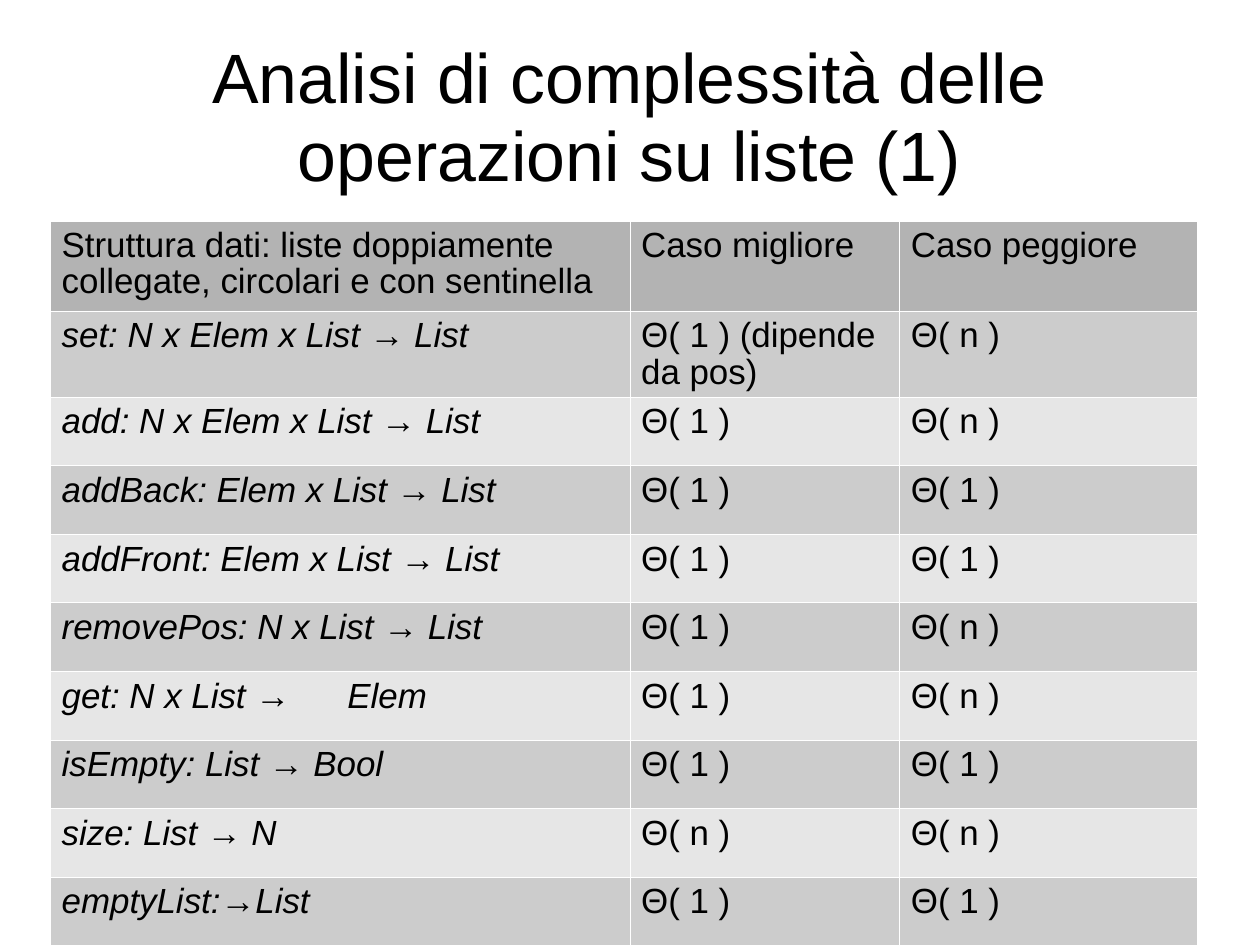
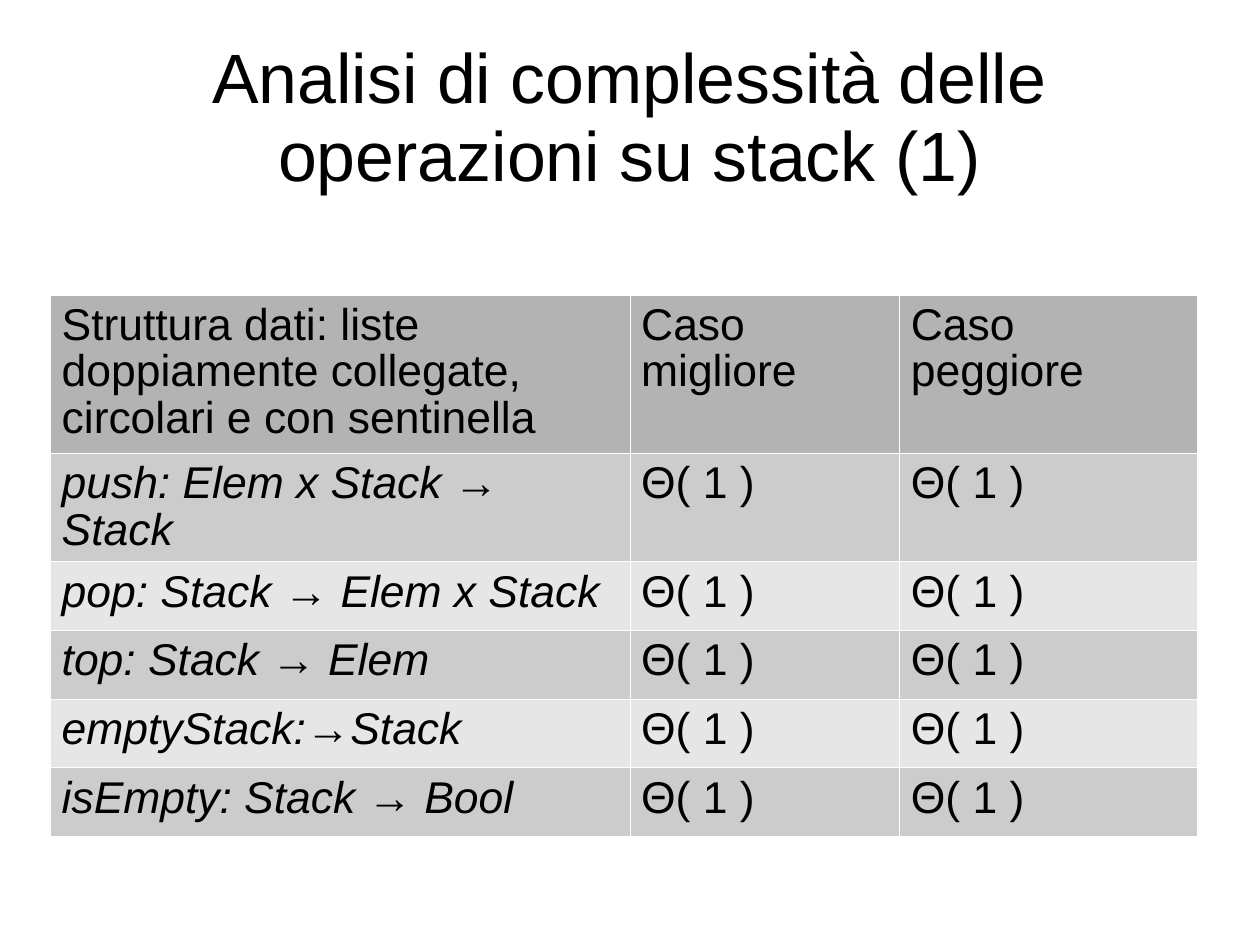
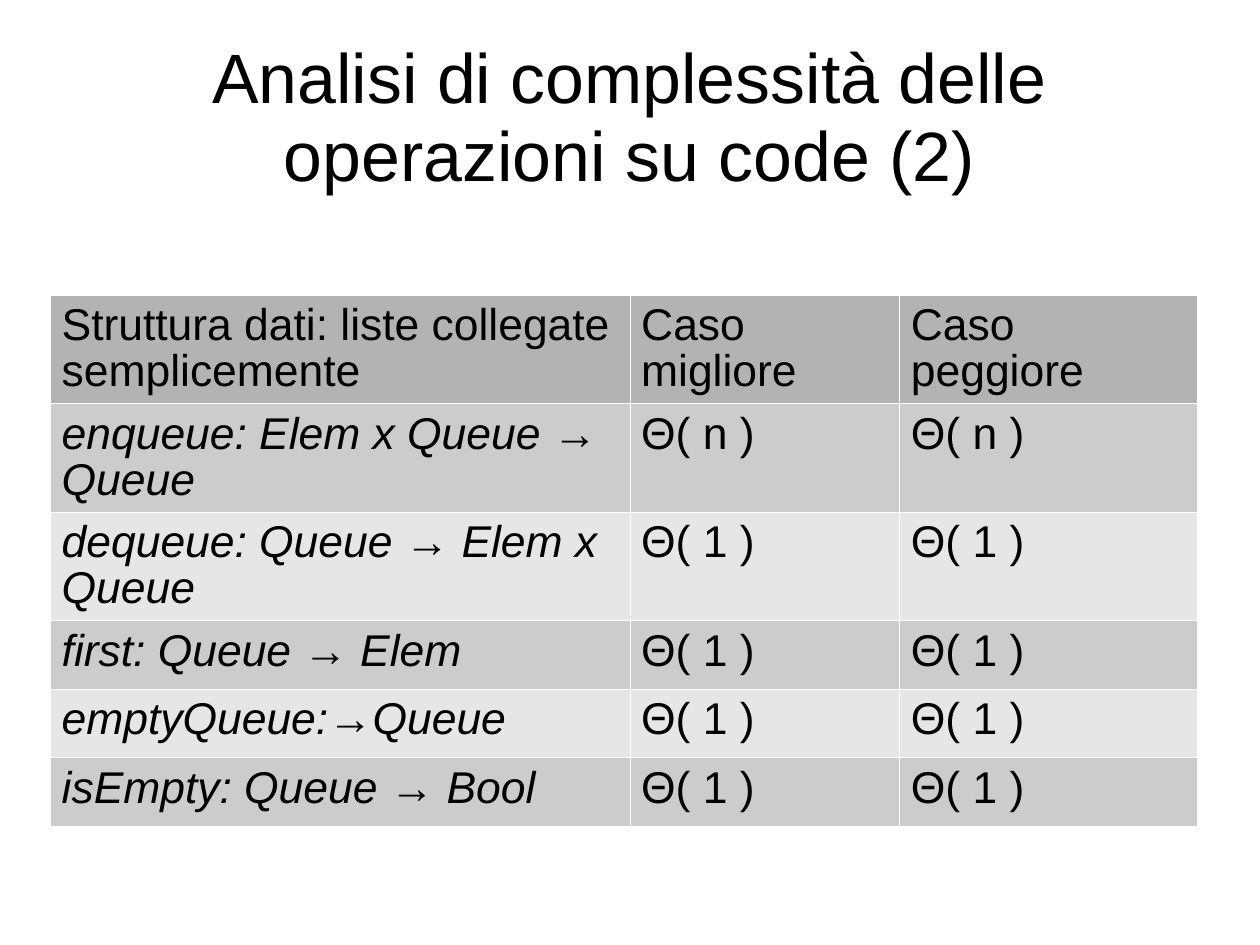
"""Build three slides on the complexity of list, stack and queue operations."""
from lxml import etree
from pptx import Presentation
from pptx.dml.color import RGBColor
from pptx.enum.text import MSO_ANCHOR, PP_ALIGN
from pptx.oxml.ns import qn
from pptx.util import Inches, Pt

MIDDLE = MSO_ANCHOR.MIDDLE
CENTER = PP_ALIGN.CENTER
LEFT = PP_ALIGN.LEFT

COLORS = {
    "text": "000000",
    "border": "FFFFFF",
    "header": "B3B3B3",
    "odd": "CCCCCC",
    "even": "E6E6E6",
}
FONT = "Arial"
CM_PER_INCH = 2.54
PAGE_WIDTH_CM = 28
PAGE_HEIGHT_CM = 21
LINE_SPACING = 0.93
TITLE_SIZE = 44
COLUMN_WIDTHS = (5.07, 2.36, 2.6)
TABLE_LEFT = 0.44
ROW_HEIGHT = 0.6
TAB_STOP = 2.5
BORDER_WIDTH = 0.06

CONSTANT = "Θ( 1 )"
LINEAR = "Θ( n )"
CASES = ("Caso migliore", "Caso peggiore")

SLIDES = [
    {
        "title": "Analisi di complessità delle operazioni su liste (1)",
        "top": 1.93, "size": 22, "header_height": 0.79, "margin_top": 0.07,
        "structure": "Struttura dati: liste doppiamente collegate, circolari e con sentinella",
        "operations": [
            ("set: N x Elem x List → List", "Θ( 1 ) (dipende da pos)", LINEAR),
            ("add: N x Elem x List → List", CONSTANT, LINEAR),
            ("addBack: Elem x List → List", CONSTANT, CONSTANT),
            ("addFront: Elem x List → List", CONSTANT, CONSTANT),
            ("removePos: N x List → List", CONSTANT, LINEAR),
            ("get: N x List →\tElem", CONSTANT, LINEAR),
            ("isEmpty: List → Bool", CONSTANT, CONSTANT),
            ("size: List → N", LINEAR, LINEAR),
            ("emptyList:→List", CONSTANT, CONSTANT),
        ],
    },
    {
        "title": "Analisi di complessità delle operazioni su stack (1)",
        "top": 2.58, "size": 28, "header_height": 1.34, "margin_top": 0.08,
        "structure": "Struttura dati: liste doppiamente collegate, circolari e con sentinella",
        "operations": [
            ("push: Elem x Stack → Stack", CONSTANT, CONSTANT),
            ("pop: Stack → Elem x Stack", CONSTANT, CONSTANT),
            ("top: Stack → Elem", CONSTANT, CONSTANT),
            ("emptyStack:→Stack", CONSTANT, CONSTANT),
            ("isEmpty: Stack → Bool", CONSTANT, CONSTANT),
        ],
    },
    {
        "title": "Analisi di complessità delle operazioni su code (2)",
        "top": 2.58, "size": 28, "header_height": 0.93, "margin_top": 0.08,
        "structure": "Struttura dati: liste collegate semplicemente",
        "operations": [
            ("enqueue: Elem x Queue → Queue", LINEAR, LINEAR),
            ("dequeue: Queue → Elem x Queue", CONSTANT, CONSTANT),
            ("first: Queue → Elem", CONSTANT, CONSTANT),
            ("emptyQueue:→Queue", CONSTANT, CONSTANT),
            ("isEmpty: Queue → Bool", CONSTANT, CONSTANT),
        ],
    },
]


def write(frame, text, size, align=LEFT, italic=False):
    paragraph = frame.paragraphs[0]
    paragraph.text = text
    paragraph.alignment = align
    paragraph.line_spacing = LINE_SPACING
    if "\t" in text:
        tabs = etree.SubElement(paragraph._p.get_or_add_pPr(), qn("a:tabLst"))
        etree.SubElement(tabs, qn("a:tab"), pos=str(Inches(TAB_STOP)), algn="l")
    font = paragraph.font
    font.name = FONT
    font.size = Pt(size)
    font.italic = italic
    font.color.rgb = RGBColor.from_string(COLORS["text"])


def add_title(page, text):
    box = page.shapes.add_textbox(Inches(0.55), Inches(0.33), Inches(9.92), Inches(1.38))
    frame = box.text_frame
    frame.word_wrap = True
    frame.vertical_anchor = MIDDLE
    frame.margin_left = frame.margin_right = frame.margin_bottom = 0
    frame.margin_top = Inches(0.04)
    write(frame, text, TITLE_SIZE, CENTER)


def style_cell(cell, fill, margin_top):
    cell.margin_left = cell.margin_right = Inches(0.1)
    cell.margin_top = Inches(margin_top)
    cell.margin_bottom = 0
    properties = cell._tc.get_or_add_tcPr()
    for side in ("lnL", "lnR", "lnT", "lnB"):
        line = etree.SubElement(properties, qn(f"a:{side}"), w=str(Pt(BORDER_WIDTH)))
        solid = etree.SubElement(line, qn("a:solidFill"))
        etree.SubElement(solid, qn("a:srgbClr"), val=COLORS["border"])
    cell.fill.solid()
    cell.fill.fore_color.rgb = RGBColor.from_string(COLORS[fill])


def add_complexity_table(page, content):
    rows = [(content["structure"], *CASES), *content["operations"]]
    heights = [content["header_height"]] + [ROW_HEIGHT] * len(content["operations"])
    table = page.shapes.add_table(
        len(rows), len(COLUMN_WIDTHS), Inches(TABLE_LEFT), Inches(content["top"]),
        Inches(sum(COLUMN_WIDTHS)), Inches(sum(heights))).table
    table.first_row = table.horz_banding = False
    for column, width in zip(table.columns, COLUMN_WIDTHS):
        column.width = Inches(width)
    for row_index, (texts, height) in enumerate(zip(rows, heights)):
        table.rows[row_index].height = Inches(height)
        fill = "header" if row_index == 0 else "odd" if row_index % 2 else "even"
        for column_index, text in enumerate(texts):
            cell = table.cell(row_index, column_index)
            style_cell(cell, fill, content["margin_top"])
            write(cell.text_frame, text, content["size"],
                  italic=row_index > 0 and column_index == 0)


def main():
    deck = Presentation()
    deck.slide_width = Inches(PAGE_WIDTH_CM / CM_PER_INCH)
    deck.slide_height = Inches(PAGE_HEIGHT_CM / CM_PER_INCH)
    for content in SLIDES:
        page = deck.slides.add_slide(deck.slide_layouts[6])
        add_title(page, content["title"])
        add_complexity_table(page, content)
    deck.save("out.pptx")


if __name__ == "__main__":
    main()
